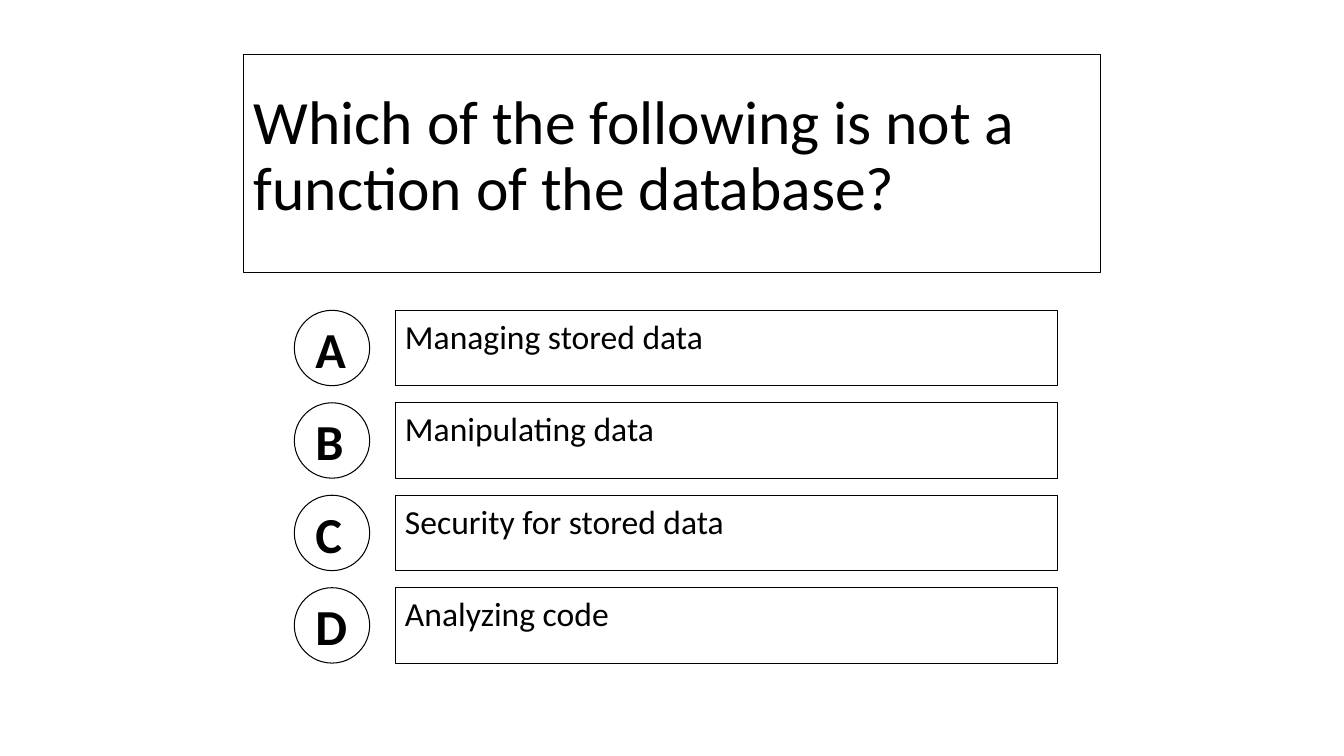
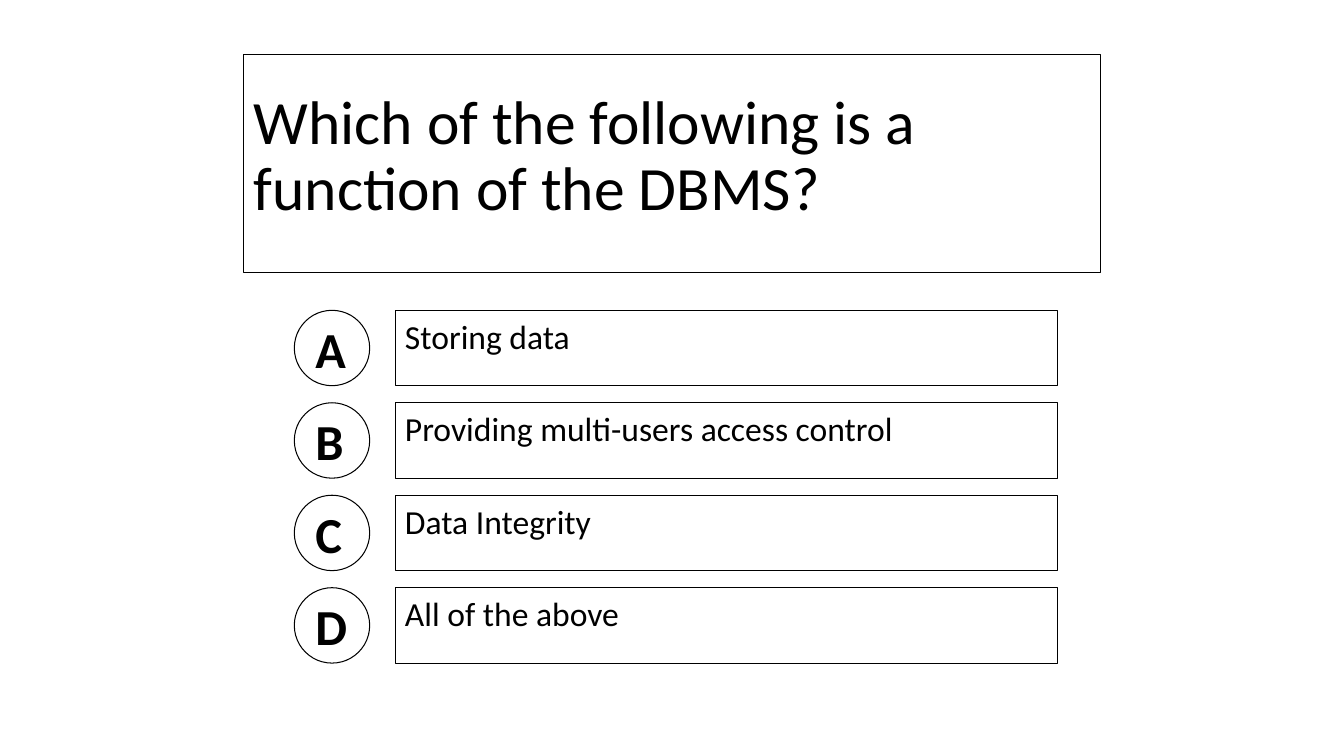
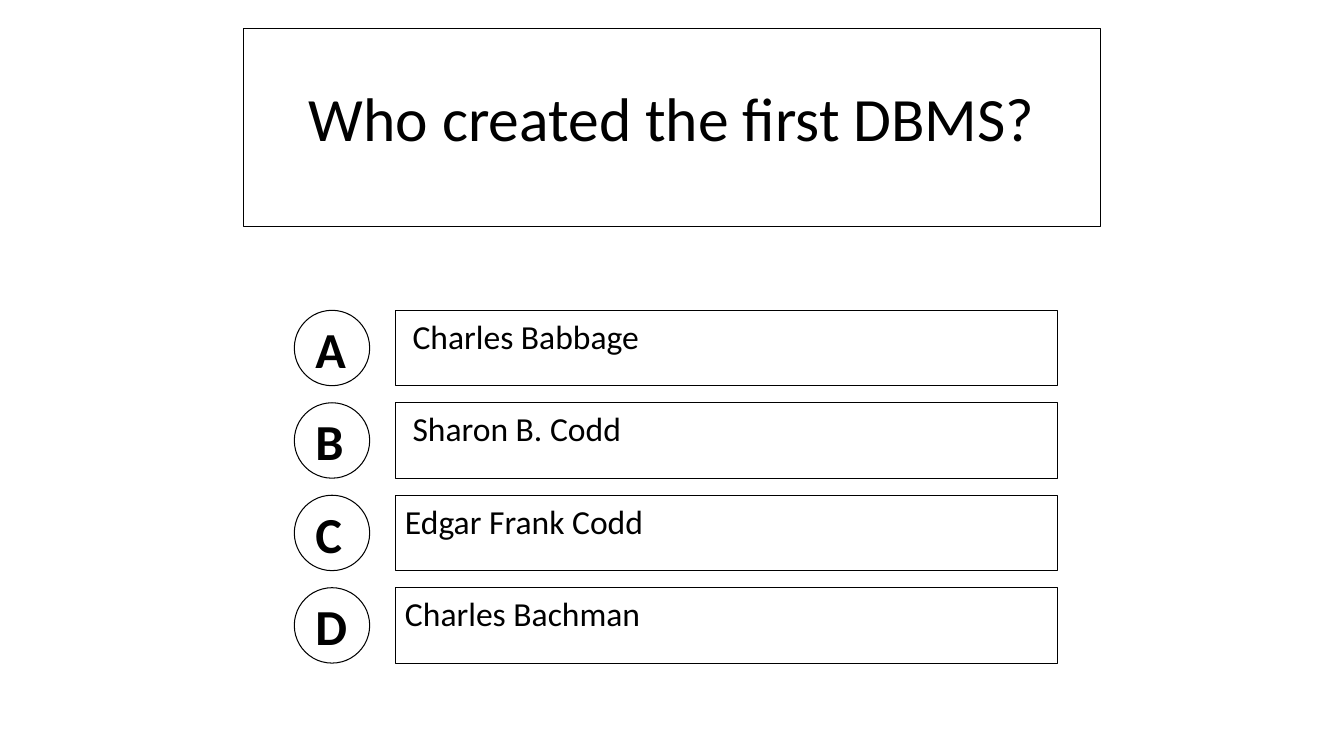
from pptx import Presentation
from pptx.dml.color import RGBColor
from pptx.enum.shapes import MSO_SHAPE
from pptx.enum.text import MSO_ANCHOR, PP_ALIGN
from pptx.util import Cm, Pt

BLACK = RGBColor(0x00, 0x00, 0x00)
WHITE = RGBColor(0xFF, 0xFF, 0xFF)
FONT = "Calibri"

QUESTION_LEFT, QUESTION_WIDTH = 6.15, 21.59
ANSWERS_LEFT, ANSWERS_TOP, ANSWERS_WIDTH = 7.42, 7.82, 19.25
ROW_HEIGHT, ROW_PITCH = 1.9, 2.33
ANSWER_OFFSET = 2.54
NAME_INDENT = 0.19

QUIZ = [
    {
        "question": "Which of the following is not a function of the database?",
        "answers": [
            ("Managing stored data", 0),
            ("Manipulating data", 0),
            ("Security for stored data", 0),
            ("Analyzing code", 0),
        ],
    },
    {
        "question": "Which of the following is a function of the DBMS?",
        "answers": [
            ("Storing data", 0),
            ("Providing multi-users access control", 0),
            ("Data Integrity", 0),
            ("All of the above", 0),
        ],
    },
    {
        "question": "Who created the first DBMS?",
        "answers": [
            ("Charles Babbage", NAME_INDENT),
            ("Sharon B. Codd", NAME_INDENT),
            ("Edgar Frank Codd", 0),
            ("Charles Bachman", 0),
        ],
        "top": 0.71,
        "height": 5.0,
        "align": PP_ALIGN.CENTER,
    },
]


def add_outline(page, kind, left, top, width, height, fill=None):
    shape = page.shapes.add_shape(kind, Cm(left), Cm(top), Cm(width), Cm(height))
    shape.shadow.inherit = False
    if fill is None:
        shape.fill.background()
    else:
        shape.fill.solid()
        shape.fill.fore_color.rgb = fill
    shape.line.color.rgb = BLACK
    shape.line.width = Pt(0.75)
    return shape


def write_text(box, text, size, bold=False, align=PP_ALIGN.LEFT,
               anchor=MSO_ANCHOR.MIDDLE, spacing=1.0, indent=0, bottom=0.13):
    frame = box.text_frame
    frame.word_wrap = True
    frame.vertical_anchor = anchor
    frame.margin_left = Cm(0.25 + indent)
    frame.margin_right = Cm(0.25)
    frame.margin_top = Cm(0.13)
    frame.margin_bottom = Cm(bottom)
    para = frame.paragraphs[0]
    para.alignment = align
    para.line_spacing = spacing
    span = para.add_run()
    span.text = text
    span.font.name = FONT
    span.font.size = Pt(size)
    span.font.bold = bold
    span.font.color.rgb = BLACK


def add_question(page, text, left, top, width, height, align):
    box = add_outline(page, MSO_SHAPE.RECTANGLE, left, top, width, height)
    write_text(box, text, 44, align=align, spacing=0.9, bottom=0.43)


def add_answers(page, answers, left, top, width):
    for row, (letter, (text, indent)) in enumerate(zip("ABCD", answers)):
        row_top = top + row * ROW_PITCH
        badge = add_outline(page, MSO_SHAPE.OVAL, left, row_top, ROW_HEIGHT, ROW_HEIGHT)
        write_text(badge, letter, 36, bold=True)
        box = add_outline(page, MSO_SHAPE.RECTANGLE, left + ANSWER_OFFSET, row_top,
                          width - ANSWER_OFFSET, ROW_HEIGHT, fill=WHITE)
        write_text(box, text, 24, anchor=MSO_ANCHOR.TOP, indent=indent)


def add_quiz_page(deck, question, answers, top=1.37, height=5.51, align=PP_ALIGN.LEFT):
    page = deck.slides.add_slide(deck.slide_layouts[6])
    add_question(page, question, QUESTION_LEFT, top, QUESTION_WIDTH, height, align)
    add_answers(page, answers, ANSWERS_LEFT, ANSWERS_TOP, ANSWERS_WIDTH)


def main():
    deck = Presentation()
    deck.slide_width = Cm(33.88)
    deck.slide_height = Cm(19.05)
    for item in QUIZ:
        add_quiz_page(deck, **item)
    deck.save("out.pptx")


if __name__ == "__main__":
    main()
